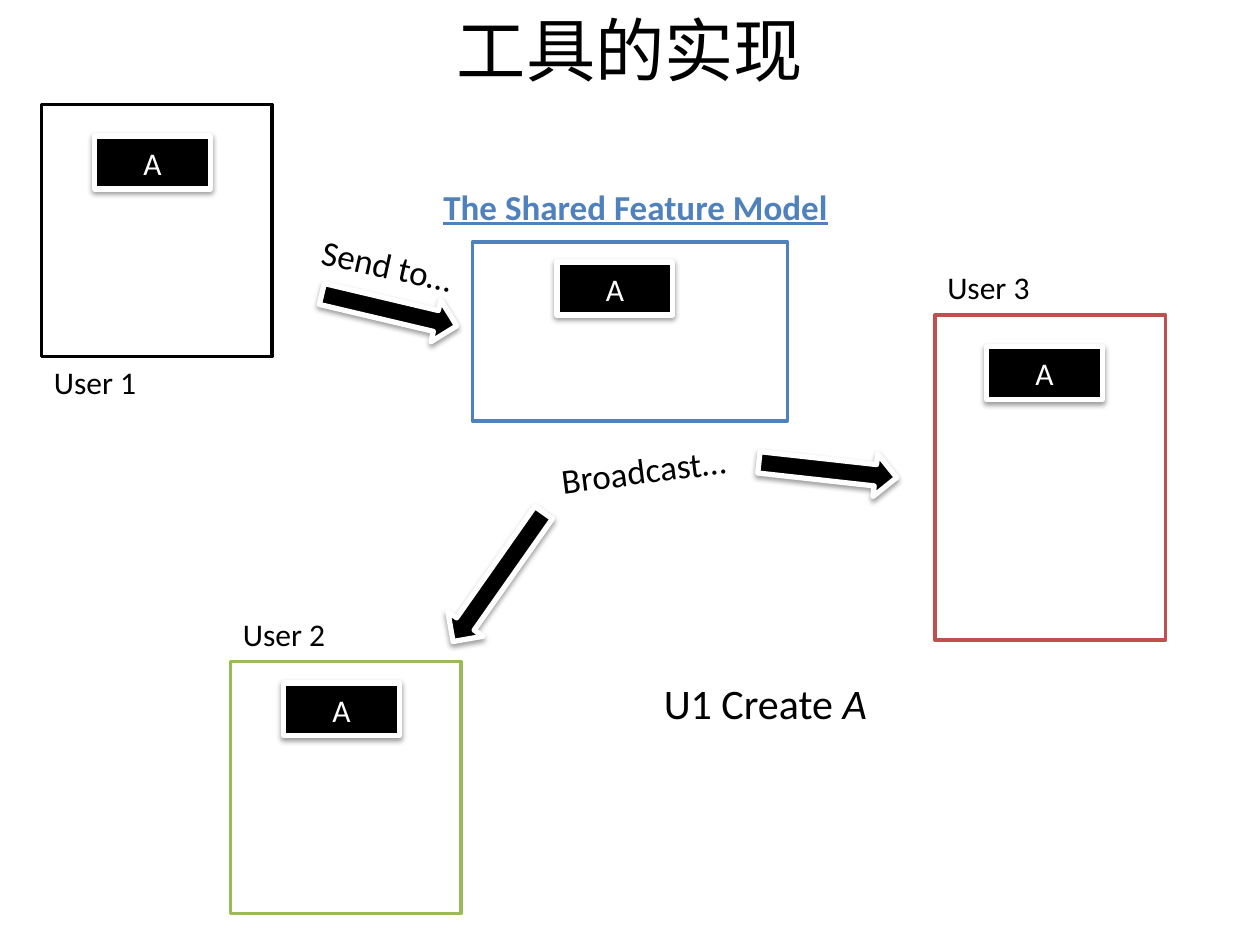
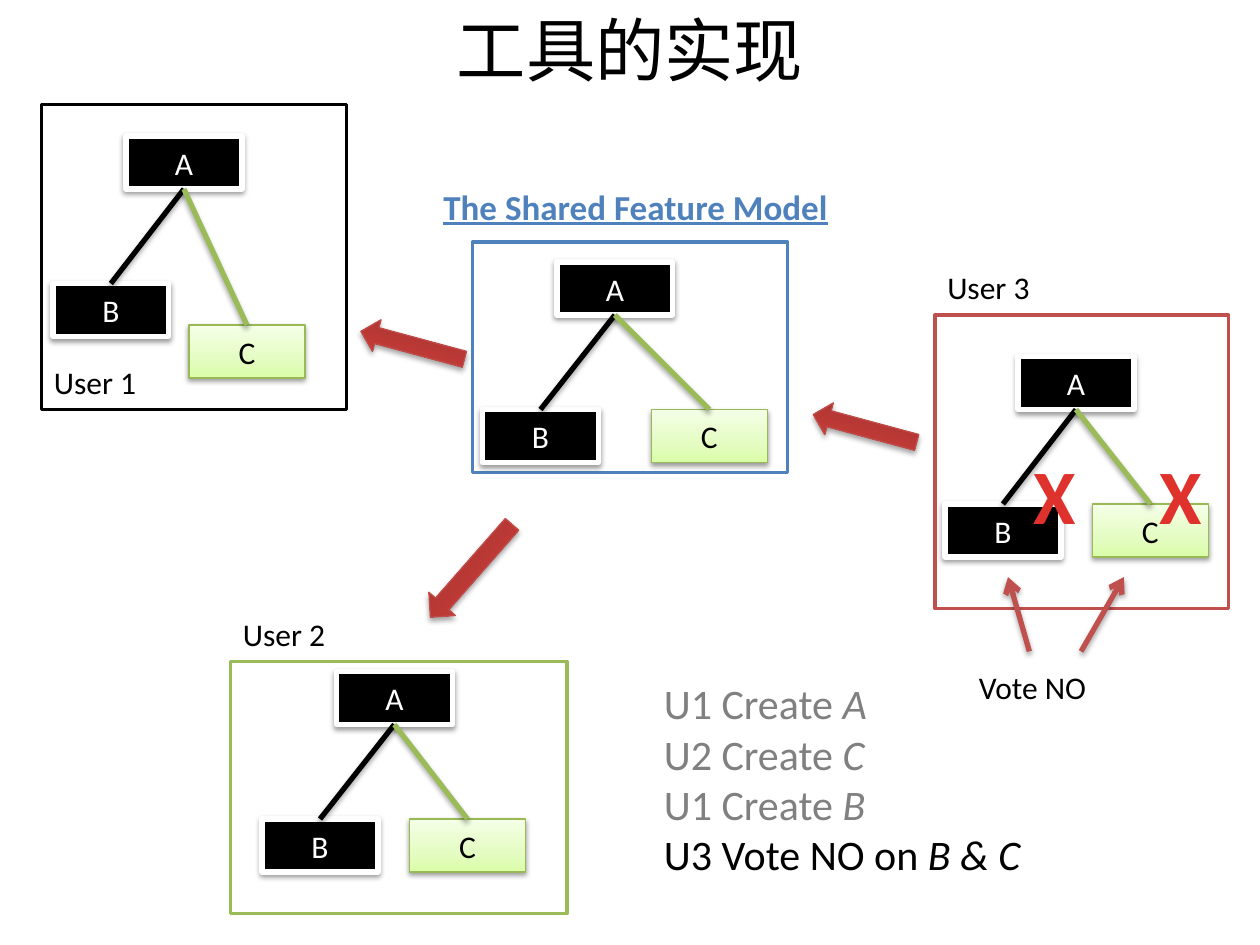
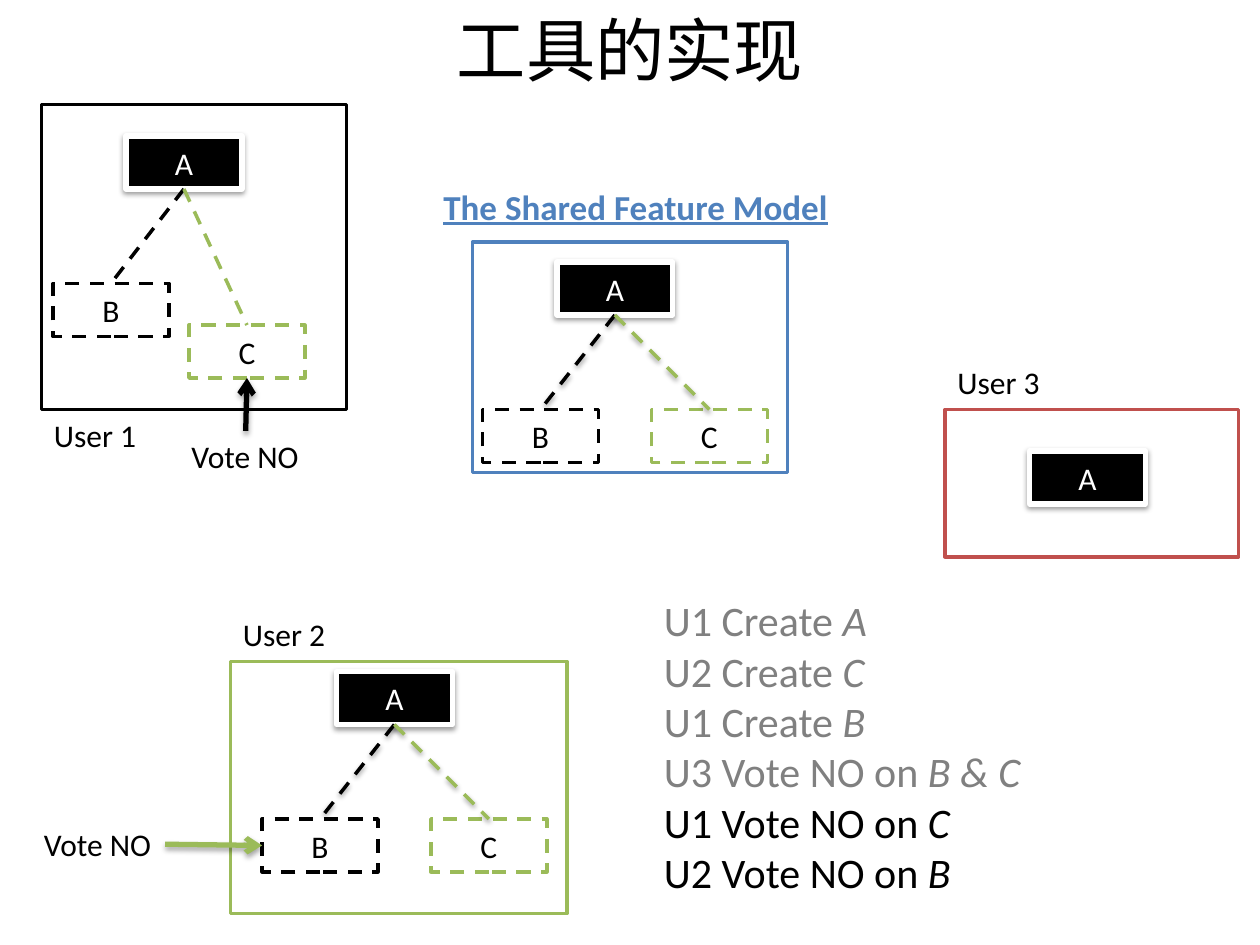
from typing import NamedTuple

from lxml.etree import SubElement
from pptx import Presentation
from pptx.dml.color import RGBColor
from pptx.enum.dml import MSO_LINE
from pptx.enum.shapes import MSO_CONNECTOR, MSO_SHAPE
from pptx.enum.text import MSO_ANCHOR, MSO_AUTO_SIZE, PP_ALIGN
from pptx.oxml.ns import qn
from pptx.util import Inches, Pt

FONT = "Calibri"
HEX = {
    "black": "000000", "white": "FFFFFF", "gray": "808080",
    "blue": "4F81BD", "red": "C0504D", "green": "9BBB59",
    "leaf": "98B955", "rust": "BF4C48",
}
# Gradient stops: percent and colour
FADES = {
    "leaf": ((0, "DAFDA7"), (35, "E4FCC2"), (100, "F5FFE7")),
    "rust": ((0, "9C2F2D"), (80, "CB3E3A"), (100, "CE3B37")),
    "cross": ((25, "E0322D"), (100, "A2201C")),
}
# Shadows: alpha percent, distance in points
SOFT, DEEP = (38, 1.6), (35, 1.8)
NODE_W, NODE_H = 0.92, 0.42
TAG_W, TAG_H = 0.86, 0.4
VOTE_W = 1.06

Box = tuple[float, float, float, float]
Spot = tuple[float, float]


class Pane(NamedTuple):
    box: Box
    color: str
    root: Spot
    kids: tuple[Spot, ...] = ()
    name: str = ""
    drop: float = -0.42  # tag top, measured from the pane top
    flat: bool = False  # edges without a shadow


class Arrow(NamedTuple):
    box: Box
    turn: float


class View(NamedTuple):
    panes: tuple[Pane, ...]
    arrows: tuple[Arrow, ...]
    tone: str
    dashed: bool
    log: Box
    steps: int  # steps listed
    past: int  # steps shown in gray


STEPS = (
    ("U1 Create ", "A"), ("U2 Create ", "C"), ("U1 Create ", "B"),
    ("U3 Vote NO on ", "B & C"), ("U1 Vote NO on ", "C"), ("U2 Vote NO on ", "B"),
)

# Panes that stay the same on more than one slide
WIDE = Pane((0.33, 0.83, 2.42, 2.42), "black", (1, 1.08),
            ((0.42, 2.25), (1.5, 2.58)), "User 1", 2)
MODEL = Pane((3.75, 1.92, 2.5, 1.83), "blue", (4.42, 2.08),
             ((3.83, 3.25), (5.17, 3.25)))
LOW = Pane((1.83, 5.25, 2.67, 2), "green", (2.67, 5.33),
           ((2.08, 6.5), (3.25, 6.5)), "User 2")

VIEWS = (
    View(
        (MODEL._replace(box=(3.75, 1.92, 2.5, 1.42), kids=()),
         Pane((0.33, 0.83, 1.83, 2), "black", (0.75, 1.08), (), "User 1", 2),
         Pane((7.42, 2.5, 1.83, 2.58), "red", (7.83, 2.75), (), "User 3"),
         Pane((1.83, 5.25, 1.83, 2), "green", (2.25, 5.42), (), "User 2")),
        (Arrow((2.54, 2.29, 1.1, 0.34), 13.3),
         Arrow((3.33, 4.41, 1.25, 0.34), 125.1),
         Arrow((6.02, 3.56, 1.1, 0.34), 6.3)),
        "black", False, (5.17, 5.33, 1.83, 0.5), 1, 0),
    View(
        (MODEL, WIDE,
         Pane((7.42, 2.5, 2.33, 2.33), "red", (8.08, 2.83),
              ((7.5, 4), (8.67, 4)), "User 3"),
         LOW),
        (Arrow((6.44, 3.27, 0.85, 0.26), 195.1),
         Arrow((2.85, 2.61, 0.85, 0.26), 195.1),
         Arrow((3.25, 4.39, 0.98, 0.28), 131.3)),
        "rust", False, (5.17, 5.33, 3.05, 1.72), 4, 3),
    View(
        (MODEL, WIDE._replace(drop=2.42, flat=True),
         Pane((7.5, 3.25, 2.33, 1.17), "red", (8.17, 3.58), (), "User 3"),
         LOW._replace(kids=((2.08, 6.5), (3.42, 6.5)))),
        (), "black", True, (5.17, 4.67, 3.05, 2.52), 6, 4),
)


def rgb(name: str) -> RGBColor:
    return RGBColor.from_string(HEX[name])


def fade(fill, parent, name: str, angle: int) -> None:
    """Give a fill the gradient stops of the named fade."""
    fill.gradient()
    fill.gradient_angle = angle
    stops = parent.find(qn("a:gradFill")).find(qn("a:gsLst"))
    for stop in list(stops):
        stops.remove(stop)
    for part, tone in FADES[name]:
        stop = SubElement(stops, qn("a:gs"), pos=str(part * 1000))
        SubElement(stop, qn("a:srgbClr"), val=tone)


def shade(shape, style=None) -> None:
    """Replace the theme shadow by the given one, or by none."""
    props = shape._element.spPr
    glow = SubElement(props, qn("a:effectLst"))
    if style:
        alpha, dist = style
        drop = SubElement(glow, qn("a:outerShdw"), blurRad=str(Pt(3.1)),
                          dist=str(Pt(dist)), dir="5400000", rotWithShape="0")
        tone = SubElement(drop, qn("a:srgbClr"), val=HEX["black"])
        SubElement(tone, qn("a:alpha"), val=str(alpha * 1000))


def write(para, text: str, *, size=18, color="black", bold=False,
          italic=False, under=False):
    run = para.add_run()
    run.text = text
    font = run.font
    font.name, font.size = FONT, Pt(size)
    font.bold, font.italic, font.underline = bold, italic, under
    font.color.rgb = rgb(color)
    return run


def label(slide, box: Box, text="", *, wrap=False, turn=0.0, align=None, **style):
    """Add a text box; its first run takes the style."""
    shape = slide.shapes.add_textbox(*map(Inches, box))
    shape.rotation = turn
    frame = shape.text_frame
    frame.word_wrap = wrap
    frame.auto_size = MSO_AUTO_SIZE.SHAPE_TO_FIT_TEXT
    para = frame.paragraphs[0]
    para.alignment = align
    if text:
        write(para, text, **style)
    return shape


def block(slide, box: Box, fill: str, line: str, width: float, *,
          kind=MSO_SHAPE.RECTANGLE, dashed=False, shadow=None):
    shape = slide.shapes.add_shape(kind, *map(Inches, box))
    if fill in FADES:
        fade(shape.fill, shape._element.spPr, fill, 90)
    else:
        shape.fill.solid()
        shape.fill.fore_color.rgb = rgb(fill)
    shape.line.color.rgb = rgb(line)
    shape.line.width = Pt(width)
    if dashed:
        shape.line.dash_style = MSO_LINE.DASH
    shade(shape, shadow)
    return shape


def node(slide, name: str, spot: Spot, dashed=False):
    box = (*spot, NODE_W, NODE_H)
    ink = "black"
    if dashed:
        edge = "green" if name == "C" else "black"
        shape = block(slide, box, "white", edge, 2, dashed=True)
    elif name == "C":
        shape = block(slide, box, "leaf", "leaf", 0.75, shadow=SOFT)
    else:
        shape = block(slide, box, "black", "white", 3, shadow=SOFT)
        ink = "white"
    shape.text_frame.vertical_anchor = MSO_ANCHOR.MIDDLE
    para = shape.text_frame.paragraphs[0]
    para.alignment = PP_ALIGN.CENTER
    write(para, name, color=ink)
    return shape


def link(slide, color: str, *, ends=(0, 0, 0, 0), tie=None, width=3.0,
         dashed=False, head=False, shadow=None) -> None:
    """Draw a line between two points, or tie it to (shape, side, shape, side)."""
    line = slide.shapes.add_connector(MSO_CONNECTOR.STRAIGHT, *map(Inches, ends))
    if tie:
        line.begin_connect(*tie[:2])
        line.end_connect(*tie[2:])
    line.line.color.rgb = rgb(color)
    line.line.width = Pt(width)
    if dashed:
        line.line.dash_style = MSO_LINE.DASH
    if head:
        SubElement(line._element.spPr.find(qn("a:ln")), qn("a:tailEnd"), type="arrow")
    shade(line, shadow)


def tree(slide, pane: Pane, dashed: bool) -> dict:
    """Draw a pane with its tag and feature tree; return the nodes by name."""
    block(slide, pane.box, "white", pane.color, 2)
    left, top = pane.box[:2]
    if pane.name:
        label(slide, (left, top + pane.drop, TAG_W, TAG_H), pane.name)
    nodes = {"A": node(slide, "A", pane.root)}
    for name, spot, color in zip("BC", pane.kids, ("black", "green")):
        nodes[name] = node(slide, name, spot, dashed)
        look = SOFT if dashed else DEEP
        link(slide, color, tie=(nodes["A"], 2, nodes[name], 0),
             width=2 if dashed else 3, dashed=dashed,
             shadow=None if pane.flat else look)
    return nodes


def record(slide, view: View) -> None:
    """List the steps taken so far, the past ones in gray."""
    frame = label(slide, view.log).text_frame
    for num, (act, what) in enumerate(STEPS[:view.steps]):
        para = frame.add_paragraph() if num else frame.paragraphs[0]
        color = "gray" if num < view.past else "black"
        write(para, act, size=24, color=color)
        write(para, what, size=24, color=color, italic=True)


def scene(deck, view: View):
    """Draw what all slides share; return the slide and the nodes per user."""
    slide = deck.slides.add_slide(deck.slide_layouts[6])
    title = label(slide, (0.5, 0, 9, 0.78), "工具的实现", wrap=True,
                  align=PP_ALIGN.CENTER, size=39.6)
    title.text_frame.auto_size = MSO_AUTO_SIZE.NONE
    title.text_frame.vertical_anchor = MSO_ANCHOR.MIDDLE
    nodes = {pane.name: tree(slide, pane, view.dashed) for pane in view.panes}
    label(slide, (3.42, 1.42, 3.28, 0.44), "The Shared Feature Model",
          size=20, color="blue", bold=True, under=True)
    dark = view.tone == "black"
    for arrow in view.arrows:
        shape = block(slide, arrow.box, view.tone, "white" if dark else "rust",
                      3 if dark else 0.75, kind=MSO_SHAPE.RIGHT_ARROW,
                      shadow=SOFT if dark else DEEP)
        shape.rotation = arrow.turn
    record(slide, view)
    return slide, nodes


def vote(slide, left: float, top: float):
    return label(slide, (left, top, VOTE_W, TAG_H), "Vote NO")


def main() -> None:
    deck = Presentation()
    deck.slide_width, deck.slide_height = Inches(10), Inches(7.5)
    (send, _), (veto, _), (last, nodes) = [scene(deck, view) for view in VIEWS]

    # Slide 1: messages beside the arrows
    for text, left, top, turn in (("Broadcast…", 4.35, 3.47, 352.8),
                                  ("Send to…", 2.44, 1.99, 12.5)):
        label(send, (left, top, 2.22, 0.44), text, wrap=True, turn=turn, size=20)

    # Slide 2: user 3 votes against B and C
    vote(veto, 7.67, 5.25)
    for start, end in ((8.17, 8), (8.58, 8.92)):
        link(veto, "red", ends=(start, 5.17, end, 4.58), head=True, shadow=DEEP)
    for left in (8.08, 9.08):
        cross = label(veto, (left, 3.5, 0.58, 0.84), wrap=True, align=PP_ALIGN.CENTER)
        run = write(cross.text_frame.paragraphs[0], "X", size=44, bold=True)
        props = run.font._element
        fade(run.font.fill, props, "cross", 270)
        props.set("spc", "50")

    # Slide 3: users 1 and 2 vote
    link(last, "black", tie=(vote(last, 1.42, 3.42), 0, nodes["User 1"]["C"], 2),
         head=True, shadow=DEEP)
    link(last, "green", tie=(vote(last, 0.25, 6.5), 3, nodes["User 2"]["B"], 1),
         head=True, shadow=DEEP)

    deck.save("out.pptx")


if __name__ == "__main__":
    main()
